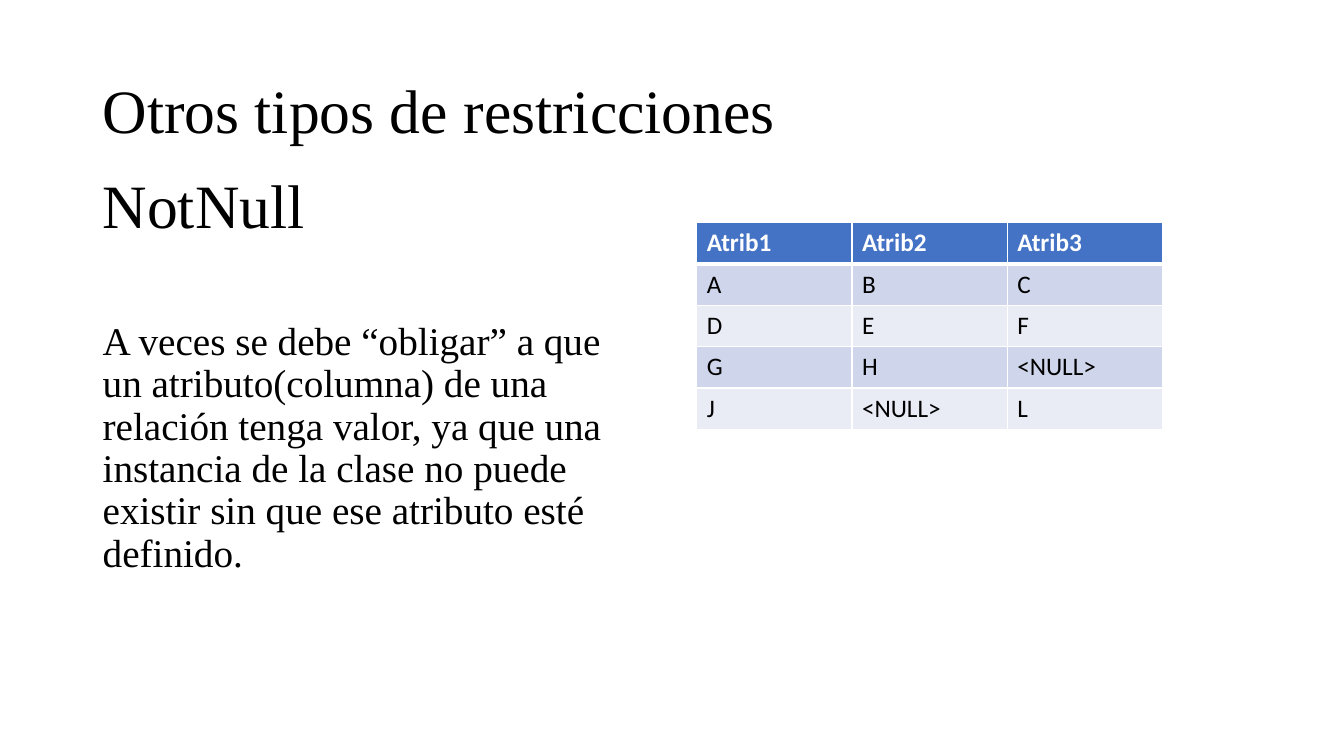
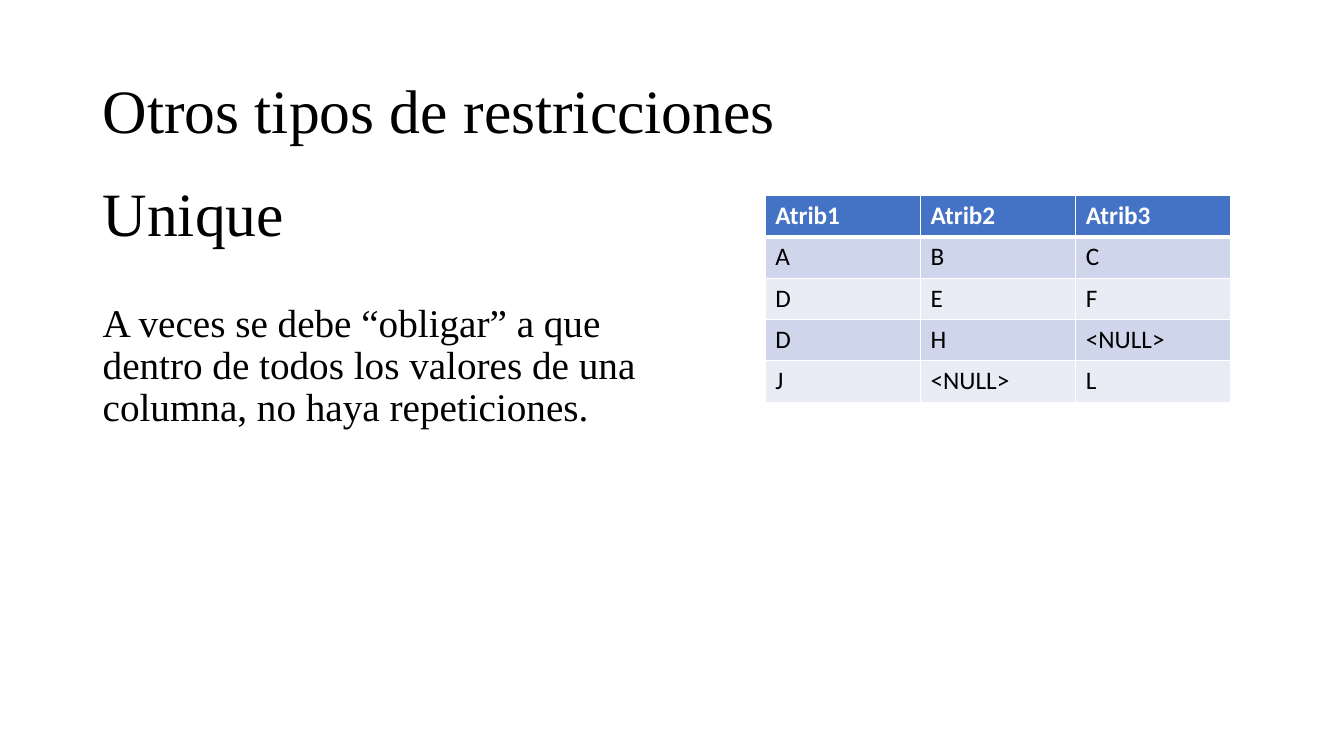
from lxml import etree
from pptx import Presentation
from pptx.dml.color import RGBColor
from pptx.enum.text import MSO_ANCHOR
from pptx.oxml.ns import qn
from pptx.util import Inches, Pt

TOP = MSO_ANCHOR.TOP
MIDDLE = MSO_ANCHOR.MIDDLE

BLACK = RGBColor(0x00, 0x00, 0x00)
WHITE = RGBColor(0xFF, 0xFF, 0xFF)
HEADER_BLUE = RGBColor(0x44, 0x72, 0xC4)
BAND_DARK = RGBColor(0xCF, 0xD5, 0xEA)
BAND_LIGHT = RGBColor(0xE9, 0xEB, 0xF5)

SERIF = "Times New Roman"
SANS = "Calibri"

LEFT_MARGIN = 0.92
HEADING_HEIGHT = 1.45
COLUMN_WIDTH = 1.54
ROW_HEIGHT = 0.41
THIN, THICK = 1, 3

TITLE = "Otros tipos de restricciones"
ATTRIBUTES = ("Atrib1", "Atrib2", "Atrib3")


def write_text(frame, text, size, font=SERIF, color=BLACK, bold=False, spacing=None):
    paragraph = frame.paragraphs[0]
    paragraph.line_spacing = spacing
    run = paragraph.add_run()
    run.text = text
    run.font.size = Pt(size)
    run.font.name = font
    run.font.bold = bold
    run.font.color.rgb = color


def add_text(slide, text, top, width, height, size, anchor=TOP):
    box = slide.shapes.add_textbox(
        Inches(LEFT_MARGIN), Inches(top), Inches(width), Inches(height)
    )
    frame = box.text_frame
    frame.word_wrap = True
    frame.vertical_anchor = anchor
    write_text(frame, text, size, spacing=0.9)


def add_heading(slide, text, top, width):
    add_text(slide, text, top, width, HEADING_HEIGHT, size=44, anchor=MIDDLE)


def set_borders(cell, top, bottom):
    properties = cell._tc.get_or_add_tcPr()
    for side, width in (("L", THIN), ("R", THIN), ("T", top), ("B", bottom)):
        line = etree.SubElement(properties, qn(f"a:ln{side}"), w=str(Pt(width)))
        fill = etree.SubElement(line, qn("a:solidFill"))
        etree.SubElement(fill, qn("a:srgbClr"), val=str(WHITE))


def format_cell(cell, text, row_index):
    is_header = row_index == 0
    if is_header:
        background = HEADER_BLUE
    else:
        background = BAND_DARK if row_index % 2 else BAND_LIGHT
    set_borders(
        cell,
        top=THICK if row_index == 1 else THIN,
        bottom=THICK if is_header else THIN,
    )
    cell.fill.solid()
    cell.fill.fore_color.rgb = background
    write_text(
        cell.text_frame,
        text,
        size=18,
        font=SANS,
        color=WHITE if is_header else BLACK,
        bold=is_header,
    )


def add_relation(slide, left, top, records):
    rows = [ATTRIBUTES, *records]
    table = slide.shapes.add_table(
        len(rows),
        len(ATTRIBUTES),
        Inches(left),
        Inches(top),
        Inches(COLUMN_WIDTH * len(ATTRIBUTES)),
        Inches(ROW_HEIGHT * len(rows)),
    ).table
    for row_index, values in enumerate(rows):
        for column_index, value in enumerate(values):
            format_cell(table.cell(row_index, column_index), value, row_index)


def add_restriction_slide(deck, name, name_top, explanation, explanation_top,
                          relation_at, records):
    slide = deck.slides.add_slide(deck.slide_layouts[6])
    add_heading(slide, TITLE, top=0.4, width=11.5)
    add_heading(slide, name, top=name_top, width=2.98)
    add_text(slide, explanation, explanation_top, width=5.61, height=3.5, size=28)
    add_relation(slide, *relation_at, records)


def main():
    deck = Presentation()
    deck.slide_width = Inches(13.33)
    deck.slide_height = Inches(7.5)
    add_restriction_slide(
        deck,
        name="NotNull",
        name_top=1.34,
        explanation="A veces se debe “obligar” a que un atributo(columna) de una "
        "relación tenga valor, ya que una instancia de la clase no puede existir "
        "sin que ese atributo esté definido.",
        explanation_top=3.14,
        relation_at=(6.91, 2.21),
        records=["ABC", "DEF", ("G", "H", "<NULL>"), ("J", "<NULL>", "L")],
    )
    add_restriction_slide(
        deck,
        name="Unique",
        name_top=1.42,
        explanation="A veces se debe “obligar” a que dentro de todos los valores "
        "de una columna, no haya repeticiones.",
        explanation_top=2.96,
        relation_at=(7.59, 1.94),
        records=["ABC", "DEF", ("D", "H", "<NULL>"), ("J", "<NULL>", "L")],
    )
    deck.save("out.pptx")


if __name__ == "__main__":
    main()
